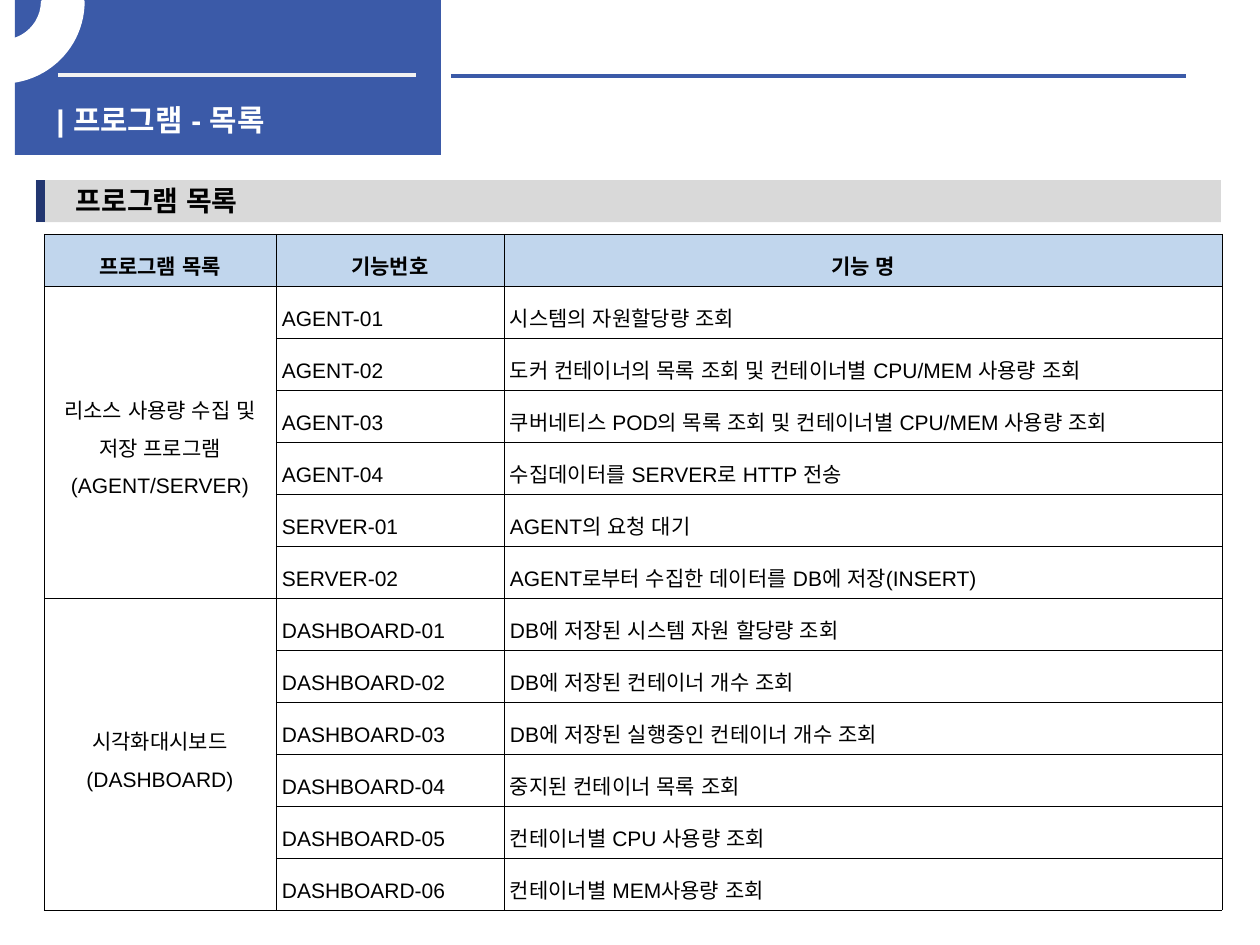
from lxml import etree
from pptx import Presentation
from pptx import util as u
from pptx.dml.color import RGBColor
from pptx.enum import shapes, text
from pptx.oxml import parse_xml
from pptx.oxml.ns import nsdecls, qn

SCALE = 914400 / 126  # EMU per px
BLUE, WHITE, BLACK = "3B5AA8", "FFFFFF", "000000"


def px(*lengths):
    return [u.Emu(round(length * SCALE)) for length in lengths]


def paint(color_format, value):
    color_format.rgb = RGBColor.from_string(value)


presentation = Presentation()
presentation.slide_width, presentation.slide_height = px(1260, 945)
slide = presentation.slides.add_slide(presentation.slide_layouts[6])
styled = []  # (paragraph, size, bold, color)

# Banner
banner = slide.shapes.add_shape(shapes.MSO_SHAPE.RECTANGLE, *px(15, 0, 426, 155))
banner.shadow.inherit = False
banner.fill.solid()
paint(banner.fill.fore_color, BLUE)
banner.line.fill.background()

# Rules inside and beside the banner
for left, right, y, color in [(58, 416, 75, "F2F2F2"), (451, 1186, 76, BLUE)]:
    rule = slide.shapes.add_connector(
        shapes.MSO_CONNECTOR.STRAIGHT, *px(left, y, right, y))
    paint(rule.line.color, color)
    rule.line.width = u.Pt(2.25)
    etree.SubElement(rule._element.spPr, qn("a:effectLst"))

# Banner title
title = slide.shapes.add_textbox(*px(44, 96, 387, 40))
title.text_frame.word_wrap = True
paragraph = title.text_frame.paragraphs[0]
paragraph.text = "| 프로그램 - 목록"
styled.append((paragraph, 17, True, WHITE))

# Quarter ring in the corner
ring = slide.shapes.add_shape(shapes.MSO_SHAPE.BLOCK_ARC, *px(-79, -79, 162, 161))
for index, value in enumerate([161.587, 0, 0.25]):
    ring.adjustments[index] = value
ring._element.spPr.find(qn("a:xfrm")).set("flipV", "1")
ring.shadow.inherit = False
ring.fill.solid()
paint(ring.fill.fore_color, WHITE)
paint(ring.line.color, WHITE)
ring.line.width = u.Pt(2)

# Program table
HEADERS = ["프로그램 목록", "기능번호", "기능 명"]
PROGRAMS = [
    ("리소스 사용량 수집 및 저장 프로그램\n(AGENT/SERVER)", [
        ("AGENT-01", "시스템의 자원할당량 조회"),
        ("AGENT-02", "도커 컨테이너의 목록 조회 및 컨테이너별 CPU/MEM 사용량 조회"),
        ("AGENT-03", "쿠버네티스 POD의 목록 조회 및 컨테이너별 CPU/MEM 사용량 조회"),
        ("AGENT-04", "수집데이터를 SERVER로 HTTP 전송"),
        ("SERVER-01", "AGENT의 요청 대기"),
        ("SERVER-02", "AGENT로부터 수집한 데이터를 DB에 저장(INSERT)"),
    ]),
    ("시각화대시보드\n(DASHBOARD)", [
        ("DASHBOARD-01", "DB에 저장된 시스템 자원 할당량 조회"),
        ("DASHBOARD-02", "DB에 저장된 컨테이너 개수 조회"),
        ("DASHBOARD-03", "DB에 저장된 실행중인 컨테이너 개수 조회"),
        ("DASHBOARD-04", "중지된 컨테이너 목록 조회"),
        ("DASHBOARD-05", "컨테이너별 CPU 사용량 조회"),
        ("DASHBOARD-06", "컨테이너별 MEM사용량 조회"),
    ]),
]
COLUMNS = [232, 228, 718]
ROW_HEIGHT = 52

rows = [HEADERS]
spans = []
for program, functions in PROGRAMS:
    spans.append((len(rows), len(rows) + len(functions) - 1))
    for index, (number, name) in enumerate(functions):
        rows.append([program if index == 0 else "", number, name])

table = slide.shapes.add_table(
    len(rows), len(COLUMNS),
    *px(44, 234, sum(COLUMNS), ROW_HEIGHT * len(rows))).table
table.horz_banding = False
for column, width in zip(table.columns, px(*COLUMNS)):
    column.width = width
for row in table.rows:
    row.height, = px(ROW_HEIGHT)
for first, last in spans:
    table.cell(first, 0).merge(table.cell(last, 0))

for row_index, row in enumerate(rows):
    for column_index, value in enumerate(row):
        cell = table.cell(row_index, column_index)
        is_header = row_index == 0
        cell.vertical_anchor = text.MSO_ANCHOR.MIDDLE
        cell.margin_left, cell.margin_right = px(6, 6)
        cell.margin_top, cell.margin_bottom = px(1, 1)
        for side in "LRTB":
            cell._tc.get_or_add_tcPr().append(parse_xml(
                f'<a:ln{side} {nsdecls("a")} w="{u.Pt(0.28)}"><a:solidFill>'
                f'<a:srgbClr val="{BLACK}"/></a:solidFill></a:ln{side}>'))
        if is_header:
            cell.fill.solid()
            paint(cell.fill.fore_color, "C1D6ED")
        else:
            cell.fill.background()
        cell.text = value
        centred = is_header or column_index == 0
        for paragraph in cell.text_frame.paragraphs:
            paragraph.alignment = (
                text.PP_ALIGN.CENTER if centred else text.PP_ALIGN.JUSTIFY)
            paragraph.line_spacing = 1.6
            styled.append((paragraph, 12, is_header, BLACK))

# Section heading: grey bar, dark marker and label
heading = slide.shapes.add_group_shape()
for kind, width, color in [
        (shapes.MSO_SHAPE.ROUNDED_RECTANGLE, 1185, "D9D9D9"),
        (shapes.MSO_SHAPE.RECTANGLE, 9, "223670")]:
    bar = heading.shapes.add_shape(kind, *px(36, 180, width, 42))
    if kind == shapes.MSO_SHAPE.ROUNDED_RECTANGLE:
        bar.adjustments[0] = 0
    bar.shadow.inherit = False
    bar.fill.solid()
    paint(bar.fill.fore_color, color)
    bar.line.fill.background()

label = heading.shapes.add_textbox(*px(76, 183, 180, 34))
frame = label.text_frame
frame.margin_left = frame.margin_right = frame.margin_top = frame.margin_bottom = 0
frame.vertical_anchor = text.MSO_ANCHOR.MIDDLE
frame.word_wrap = False
frame.auto_size = text.MSO_AUTO_SIZE.SHAPE_TO_FIT_TEXT
paragraph = frame.paragraphs[0]
paragraph.text = "프로그램 목록"
styled.append((paragraph, 16, True, BLACK))

# Fonts, with the same face for Latin and Korean text
for paragraph, size, bold, color in styled:
    font = paragraph.font
    font.name, font.size, font.bold = "Arial", u.Pt(size), bold
    paint(font.color, color)
    etree.SubElement(font._rPr, qn("a:ea")).set("typeface", "Arial")

presentation.save("out.pptx")
